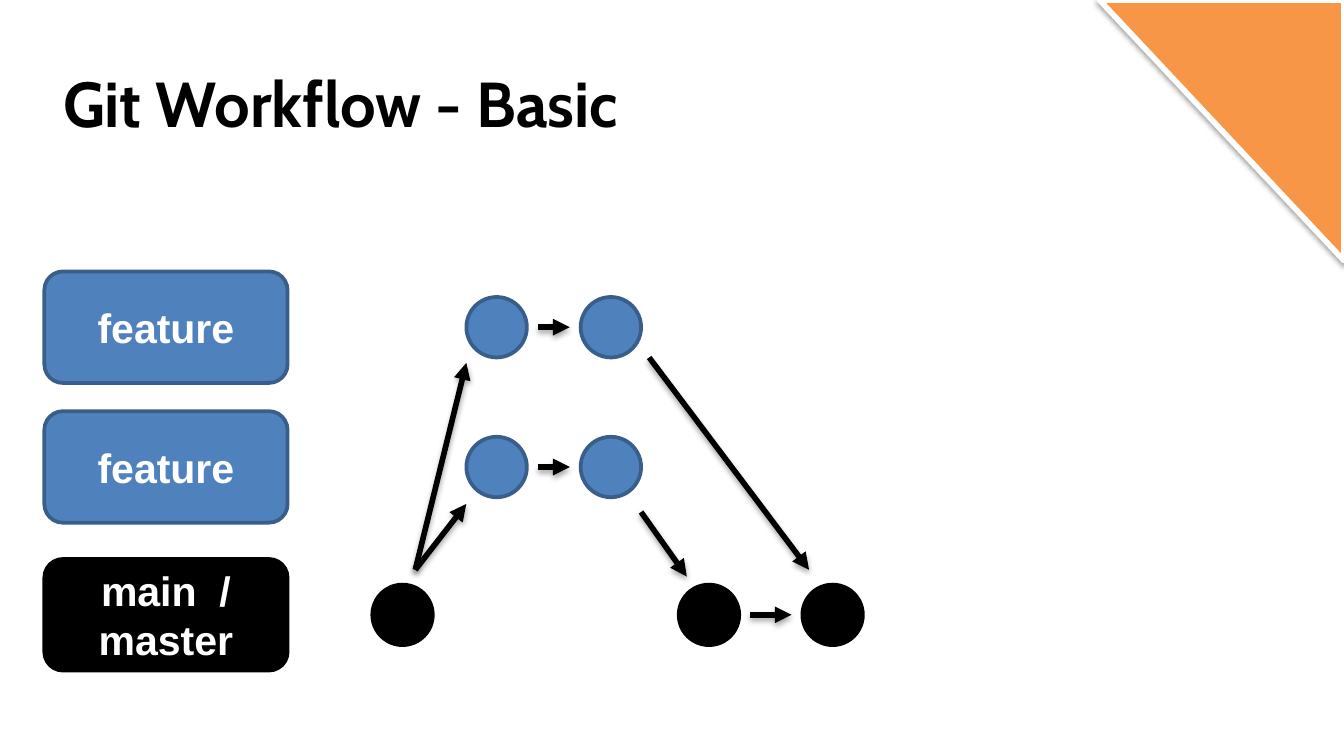
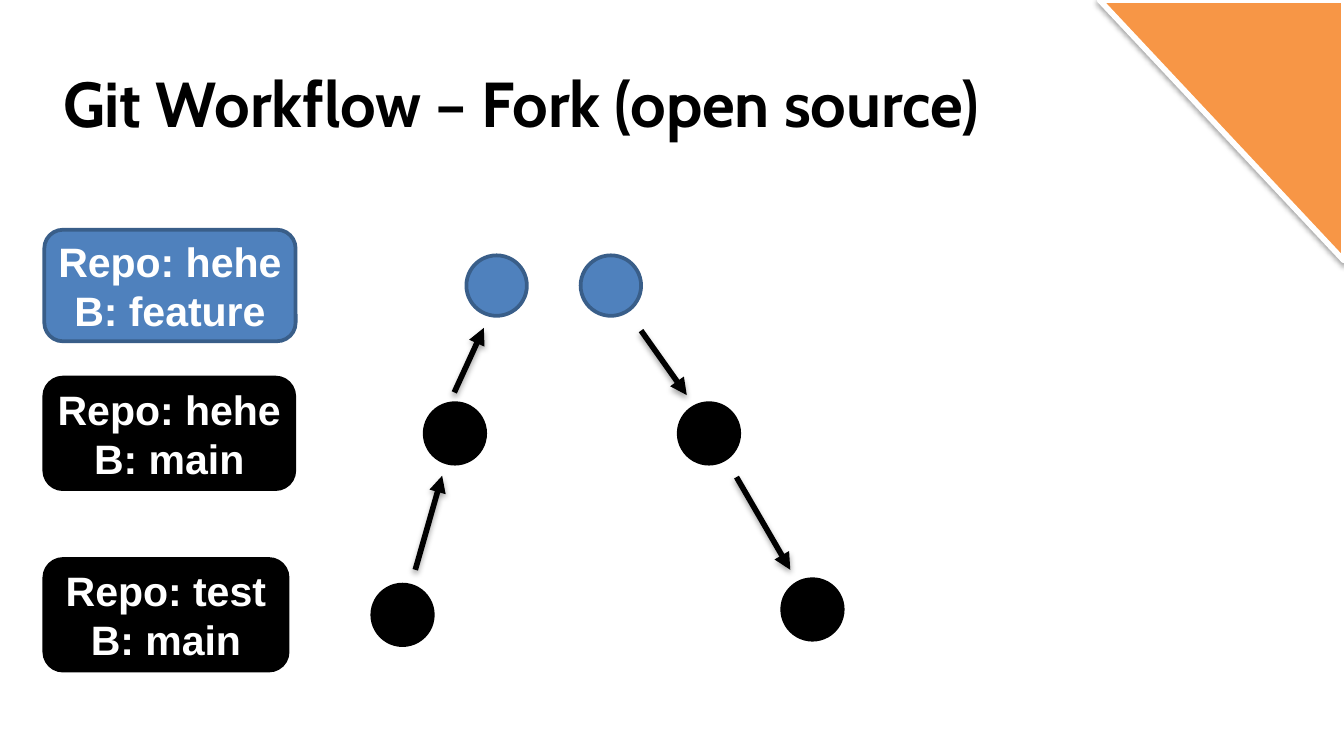
from dataclasses import dataclass

from lxml import etree
from pptx import Presentation
from pptx.dml.color import RGBColor
from pptx.enum.shapes import MSO_CONNECTOR, MSO_SHAPE
from pptx.enum.text import MSO_ANCHOR, PP_ALIGN
from pptx.oxml.ns import qn
from pptx.util import Inches, Pt

STRAIGHT = MSO_CONNECTOR.STRAIGHT
ROUNDED, OVAL = MSO_SHAPE.ROUNDED_RECTANGLE, MSO_SHAPE.OVAL
TOP, MIDDLE = MSO_ANCHOR.TOP, MSO_ANCHOR.MIDDLE
LEFT, CENTER = PP_ALIGN.LEFT, PP_ALIGN.CENTER


@dataclass(frozen=True)
class Theme:
    black: str = "000000"
    white: str = "FFFFFF"
    blue: str = "4F81BD"
    blue_edge: str = "395E89"
    orange: str = "F79646"
    title_font: str = "Cabin"
    label_font: str = "Arial"
    title_size: int = 34
    label_size: int = 22
    edge_width: int = 2
    arrow_width: int = 3


THEME = Theme()
MAIN = (THEME.black, THEME.black)
FEATURE = (THEME.blue, THEME.blue_edge)

# Shared geometry, in inches; the slide is 16:9
SLIDE_WIDTH = 10
SLIDE_HEIGHT = SLIDE_WIDTH * 9 / 16
LABEL_LEFT, LABEL_WIDTH, LABEL_HEIGHT = 0.33, 1.81, 0.83
COMMIT_SIZE = 0.45
COMMIT_DROP = (LABEL_HEIGHT - COMMIT_SIZE) / 2
ARROW_GAP = 0.08
BASE_ROW = 4.16
FORK_X, FIRST_X, SECOND_X, MERGE_X = 2.77, 3.47, 4.32, 5.05
FORK_POINT = (3.09, 4.24)


def color(value):
    return RGBColor.from_string(value)


# Styling
def paint(shape, fill, edge, width):
    shape.shadow.inherit = False
    shape.fill.solid()
    shape.fill.fore_color.rgb = color(fill)
    shape.line.color.rgb = color(edge)
    shape.line.width = Pt(width)


def add_shadow(shape, distance, opacity):
    properties = shape.element.spPr
    effects = properties.find(qn("a:effectLst"))
    if effects is None:
        effects = etree.SubElement(properties, qn("a:effectLst"))
    shadow = etree.SubElement(
        effects, qn("a:outerShdw"), blurRad=str(Pt(3.1)), dist=str(Pt(distance)),
        dir="5400000", rotWithShape="0")
    shade = etree.SubElement(shadow, qn("a:srgbClr"), val=THEME.black)
    etree.SubElement(shade, qn("a:alpha"), val=str(opacity * 1000))


def write_text(shape, lines, alignment, frame_format, font_format, font_color):
    frame = shape.text_frame
    for name, value in frame_format.items():
        setattr(frame, name, value)
    for index, line in enumerate(lines):
        paragraph = frame.add_paragraph() if index else frame.paragraphs[0]
        paragraph.alignment = alignment
        run = paragraph.add_run()
        run.text = line
        for name, value in font_format.items():
            setattr(run.font, name, value)
        run.font.color.rgb = color(font_color)


# Elements
def add_title(slide, text, width):
    box = slide.shapes.add_textbox(Inches(0.46), Inches(0.48), Inches(width), Inches(0.58))
    frame_format = {"word_wrap": True, "vertical_anchor": TOP,
                    "margin_left": Inches(0.01), "margin_right": 0,
                    "margin_top": 0, "margin_bottom": 0}
    font_format = {"name": THEME.title_font, "size": Pt(THEME.title_size), "bold": True}
    write_text(box, [text], LEFT, frame_format, font_format, THEME.black)


def add_corner(slide):
    left, bottom = Inches(8.18), Inches(1.94)
    right = Inches(SLIDE_WIDTH)
    builder = slide.shapes.build_freeform(left, 0, scale=1.0)
    builder.add_line_segments([(right, 0), (right, bottom)], close=True)
    corner = builder.convert_to_shape()
    paint(corner, THEME.orange, THEME.white, 3)
    add_shadow(corner, 1.6, 37)


def add_label(slide, row, lines, style, width=LABEL_WIDTH):
    label = slide.shapes.add_shape(
        ROUNDED, Inches(LABEL_LEFT), Inches(row), Inches(width), Inches(LABEL_HEIGHT))
    paint(label, *style, THEME.edge_width)
    frame_format = {"word_wrap": True, "vertical_anchor": MIDDLE,
                    "margin_left": Inches(0.05), "margin_right": Inches(0.05),
                    "margin_top": Inches(0.02), "margin_bottom": Inches(0.02)}
    font_format = {"name": THEME.label_font, "size": Pt(THEME.label_size), "bold": True}
    write_text(label, lines, CENTER, frame_format, font_format, THEME.white)


def add_commits(slide, row, lefts, style):
    for left in lefts:
        commit = slide.shapes.add_shape(
            OVAL, Inches(left), Inches(row + COMMIT_DROP),
            Inches(COMMIT_SIZE), Inches(COMMIT_SIZE))
        paint(commit, *style, THEME.edge_width)


def add_arrow(slide, start, end):
    arrow = slide.shapes.add_connector(
        STRAIGHT, *(Inches(value) for value in (*start, *end)))
    arrow.line.color.rgb = color(THEME.black)
    arrow.line.width = Pt(THEME.arrow_width)
    line = arrow.element.spPr.find(qn("a:ln"))
    etree.SubElement(line, qn("a:tailEnd"), type="triangle")
    add_shadow(arrow, 1.8, 35)


def add_step(slide, row, left, next_left):
    """Arrow between two neighbouring commits of one row."""
    middle = row + LABEL_HEIGHT / 2
    add_arrow(slide, (left + COMMIT_SIZE + ARROW_GAP, middle), (next_left - ARROW_GAP, middle))


def add_base(presentation, title, title_width):
    slide = presentation.slides.add_slide(presentation.slide_layouts[6])
    add_title(slide, title, title_width)
    add_corner(slide)
    return slide


# Slides
def build_basic(presentation):
    slide = add_base(presentation, "Git Workflow - Basic", 7.42)
    last_x = 5.97
    add_label(slide, BASE_ROW, ["main  / master"], MAIN)
    add_commits(slide, BASE_ROW, (FORK_X, MERGE_X, last_x), MAIN)
    add_step(slide, BASE_ROW, MERGE_X, last_x)

    # Each feature row: its branch-off end, then its merge arrow
    features = (
        (3.06, (3.47, 3.75), (4.77, 3.81), (5.11, 4.29)),
        (2.02, (3.47, 2.7), (4.83, 2.66), (6.02, 4.24)),
    )
    for row, branch_end, merge_start, merge_end in features:
        add_label(slide, row, ["feature"], FEATURE)
        add_commits(slide, row, (FIRST_X, SECOND_X), FEATURE)
        add_step(slide, row, FIRST_X, SECOND_X)
        add_arrow(slide, FORK_POINT, branch_end)
        add_arrow(slide, merge_start, merge_end)


def build_fork(presentation):
    slide = add_base(presentation, "Git Workflow – Fork (open source)", 7.65)
    rows = (
        (BASE_ROW, ["Repo: test", "B: main"], MAIN, LABEL_WIDTH, (FORK_X,)),
        (2.81, ["Repo: hehe", "B: main"], MAIN, 1.86, (3.16, MERGE_X)),
        (1.71, ["Repo: hehe", "B: feature"], FEATURE, 1.87, (FIRST_X, SECOND_X)),
    )
    for row, lines, style, width, lefts in rows:
        add_label(slide, row, lines, style, width)
        add_commits(slide, row, lefts, style)
    # The merged commit sits slightly above the base row
    add_commits(slide, 4.12, (5.82,), MAIN)

    arrows = (
        (FORK_POINT, (3.29, 3.54)),
        ((3.38, 2.92), (3.6, 2.44)),
        ((4.77, 2.46), (5.11, 2.94)),
        ((5.48, 3.55), (5.88, 4.24)),
    )
    for start, end in arrows:
        add_arrow(slide, start, end)


def main():
    presentation = Presentation()
    presentation.slide_width = Inches(SLIDE_WIDTH)
    presentation.slide_height = Inches(SLIDE_HEIGHT)
    build_basic(presentation)
    build_fork(presentation)
    presentation.save("out.pptx")


if __name__ == "__main__":
    main()
